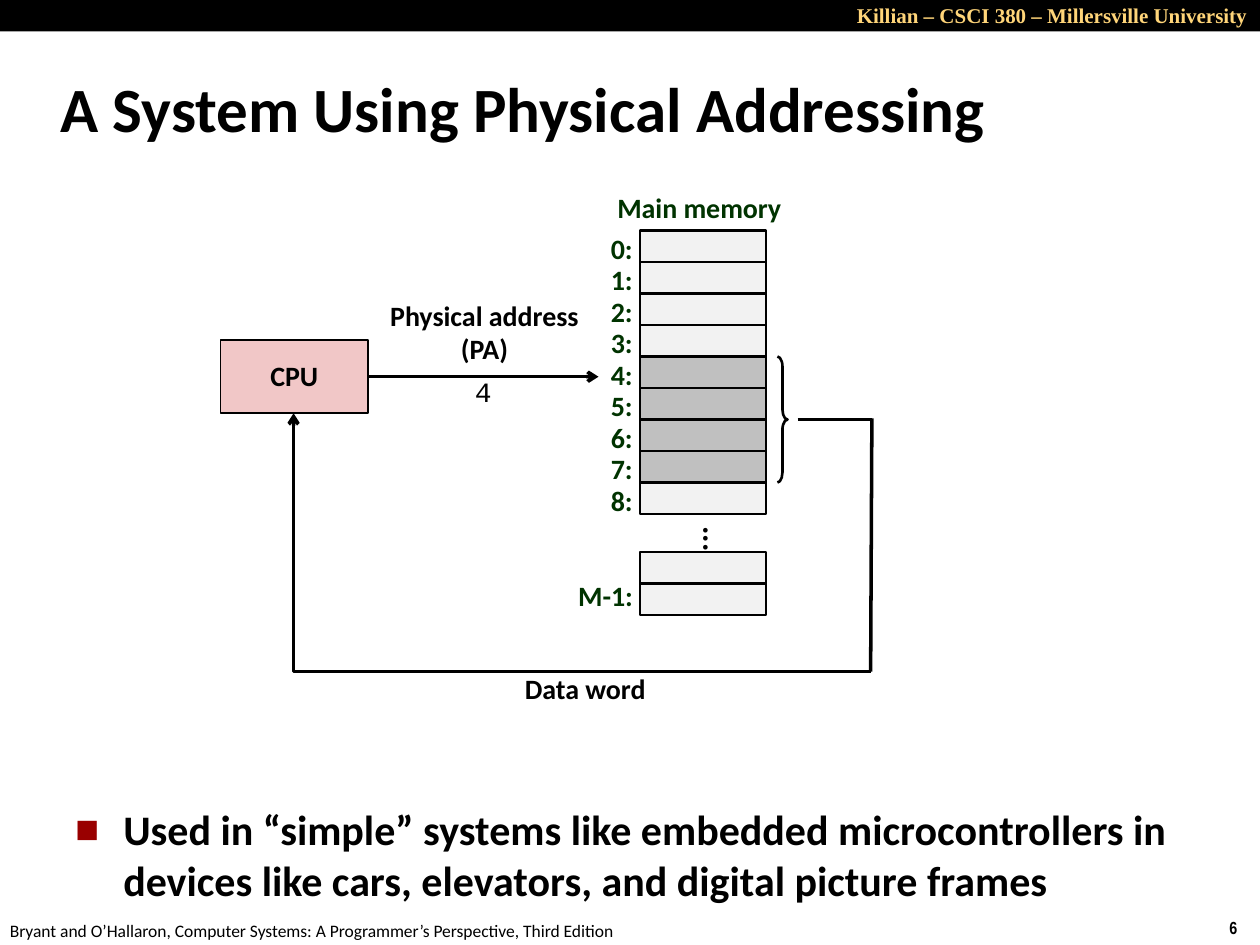
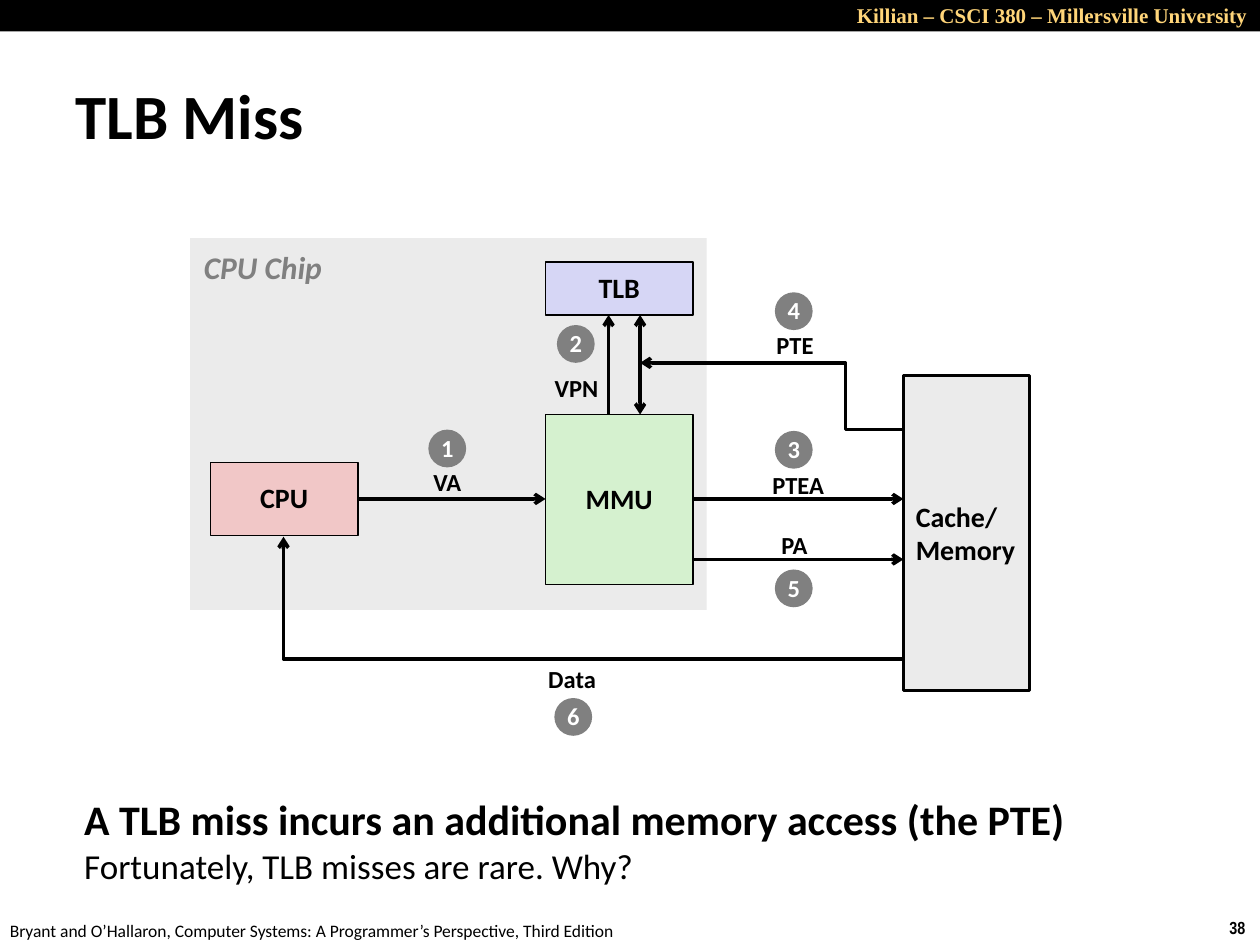
from dataclasses import dataclass

from lxml.etree import SubElement
from pptx import Presentation
from pptx.dml.color import RGBColor
from pptx.enum.shapes import MSO_CONNECTOR as Link, MSO_SHAPE as Kind
from pptx.enum.text import MSO_ANCHOR as Anchor, MSO_AUTO_SIZE as Fit, PP_ALIGN as Align
from pptx.oxml.ns import qn
from pptx.slide import Slide
from pptx.util import Inches, Pt

BLACK, WHITE, GOLD, GREEN = "000000", "FFFFFF", "FFD579", "003300"
GRAY, PALE, LIGHT, USED = "808080", "EBEBEB", "F2F2F2", "C0C0C0"
PINK, MINT, LILAC, RED = "F1C7C7", "D5F1CF", "D6D6F5", "990000"
ROW = 0.25


@dataclass(frozen=True)
class Look:
    size: float
    color: str = BLACK
    bold: bool = True
    italic: bool = False
    font: str = "Calibri"
    align: Align = Align.LEFT
    lead: float = 1.0
    before: float = 0


@dataclass(frozen=True)
class Box:
    x: float
    y: float
    w: float
    h: float
    text: str = ""
    look: Look = Look(16)
    fill: str = ""
    edge: float = 0
    kind: Kind | None = None
    anchor: Anchor = Anchor.MIDDLE
    wrap: bool = False


@dataclass(frozen=True)
class Wire:
    x1: float
    y1: float
    x2: float
    y2: float
    ends: tuple[str, ...] = ("tailEnd",)
    bend: str = ""
    turn: float | None = None


TITLE = Look(36)
NODE = Look(16, align=Align.CENTER, lead=0.98)
TAG = Look(14, align=Align.CENTER, lead=0.98)
DOT = Look(14, WHITE, align=Align.CENTER, lead=0.98)
INDEX = Look(16, GREEN, lead=0.88, before=6)
HEAD = Look(16, GREEN, align=Align.CENTER, lead=0.88, before=6)
POINT = Look(24, before=4.8)

FRAME = [
    Box(-0.02, 7.25, 5.08, 0.27,
        "Bryant and O’Hallaron, Computer Systems: A Programmer’s Perspective, Third Edition",
        Look(10, bold=False), anchor=Anchor.TOP),
    Box(0, 0, 10, 0.25, fill=BLACK, kind=Kind.RECTANGLE),
    Box(6.69, -0.03, 3.31, 0.3, "Killian – CSCI 380 – Millersville University",
        Look(12, GOLD, font="Times New Roman", align=Align.RIGHT),
        anchor=Anchor.TOP, wrap=True),
]


def tint(code: str) -> RGBColor:
    """Turn a hex string into a colour."""
    return RGBColor.from_string(code)


def style(frame, look: Look) -> None:
    """Format every paragraph and run of a text frame."""
    for para in frame.paragraphs:
        para.alignment = look.align
        para.line_spacing = look.lead
        para.space_before = Pt(look.before)
        for run in para.runs:
            font = run.font
            font.name, font.size = look.font, Pt(look.size)
            font.bold, font.italic = look.bold, look.italic
            font.color.rgb = tint(look.color)


def draw(slide: Slide, box: Box):
    """Draw a text box or a preset shape and return it."""
    area = [Inches(v) for v in (box.x, box.y, box.w, box.h)]
    if box.kind is None:
        shape = slide.shapes.add_textbox(*area)
    else:
        shape = slide.shapes.add_shape(box.kind, *area)
        shape.shadow.inherit = False
        if box.fill:
            shape.fill.solid()
            shape.fill.fore_color.rgb = tint(box.fill)
        else:
            shape.fill.background()
        if box.edge:
            shape.line.color.rgb = tint(BLACK)
            shape.line.width = Pt(box.edge)
        else:
            shape.line.fill.background()
    if box.text:
        frame = shape.text_frame
        frame.text = box.text
        frame.word_wrap = box.wrap
        frame.vertical_anchor = box.anchor
        grow = box.kind is None and not box.wrap
        frame.auto_size = Fit.SHAPE_TO_FIT_TEXT if grow else Fit.NONE
        style(frame, box.look)
    return shape


def join(slide: Slide, wire: Wire) -> None:
    """Draw a straight line, or an elbow that runs up and to the left."""
    start = Inches(wire.x1), Inches(wire.y1)
    stop = Inches(wire.x2), Inches(wire.y2)
    if wire.bend:
        line = slide.shapes.add_connector(Link.ELBOW, *stop, *start)
    else:
        line = slide.shapes.add_connector(Link.STRAIGHT, *start, *stop)
    line.line.color.rgb = tint(BLACK)
    line.line.width = Pt(2)
    props = line._element.spPr
    if wire.bend:
        props.find(qn("a:xfrm")).set("rot", "10800000")
        geom = props.find(qn("a:prstGeom"))
        geom.set("prst", wire.bend)
        if wire.turn is not None:
            guides = geom.find(qn("a:avLst"))
            if guides is None:
                guides = SubElement(geom, qn("a:avLst"))
            SubElement(guides, qn("a:gd"), name="adj1", fmla=f"val {round(wire.turn * 100000)}")
    for end in wire.ends:
        SubElement(props.find(qn("a:ln")), qn(f"a:{end}"), type="arrow")
    SubElement(props, qn("a:effectLst"))


def begin(deck, title: str, x: float, y: float, page: str) -> Slide:
    """Add a slide with its title, band and footers."""
    slide = deck.slides.add_slide(deck.slide_layouts[5])
    head = slide.shapes.title
    head.left, head.top = Inches(x), Inches(y)
    head.width, head.height = Inches(9.53), Inches(0.86)
    frame = head.text_frame
    frame.text = title
    frame.vertical_anchor = Anchor.MIDDLE
    frame.auto_size = Fit.NONE
    style(frame, TITLE)
    number = Box(9.66, 7.23, 0.34, 0.27, page, Look(10, font="Arial Narrow"),
                 anchor=Anchor.TOP)
    for box in [number, *FRAME]:
        draw(slide, box)
    return slide


def cpu(x: float, y: float) -> Box:
    """Describe the processor box."""
    return Box(x, y, 1.17, 0.58, "CPU", NODE, PINK, 1, Kind.RECTANGLE)


def bullet(shape) -> None:
    """Give the first paragraph a small red square."""
    props = shape.text_frame.paragraphs[0]._p.get_or_add_pPr()
    props.set("marL", str(Inches(0.38)))
    props.set("indent", str(-Inches(0.38)))
    SubElement(SubElement(props, qn("a:buClr")), qn("a:srgbClr"), val=RED)
    SubElement(props, qn("a:buSzPct"), val="60000")
    SubElement(props, qn("a:buFont"), typeface="Calibri")
    SubElement(props, qn("a:buChar"), char="■")


def memory(slide: Slide) -> None:
    """Draw the memory column with its addresses."""
    top, tail = 1.83, 4.38
    rows = [top + i * ROW for i in range(9)] + [tail, tail + ROW]
    for i, y in enumerate(rows):
        fill = USED if 4 <= i <= 7 else LIGHT
        draw(slide, Box(5.08, y, 1, ROW, fill=fill, edge=1.5, kind=Kind.RECTANGLE))
    for i, y in enumerate(rows[:9]):
        draw(slide, Box(4.75, y - 0.01, 0.37, 0.33, f"{i}:", INDEX, anchor=Anchor.TOP))
    draw(slide, Box(4.49, 4.58, 0.64, 0.33, "M-1:", INDEX, anchor=Anchor.TOP))
    draw(slide, Box(4.79, 1.5, 1.52, 0.33, "Main memory", HEAD, anchor=Anchor.TOP))
    dots = draw(slide, Box(5.17, 4.08, 1, ROW, "...",
                           Look(18, align=Align.CENTER, lead=0.98)))
    dots.text_frame.auto_size = Fit.NONE
    dots.text_frame._txBody.bodyPr.set("vert", "eaVert")
    dots.text_frame.paragraphs[0]._p.get_or_add_pPr().set("rtl", "1")
    brace = draw(slide, Box(6.17, 2.83, 0.08, 1, edge=1.5, kind=Kind.RIGHT_BRACE))
    brace.adjustments[0] = 1.0


def direct(deck) -> None:
    """Build the physical addressing slide."""
    slide = begin(deck, "A System Using Physical Addressing", 0.38, 0.42, "6")
    memory(slide)
    for box in (
        cpu(1.75, 2.7),
        Box(2.99, 2.33, 1.71, 0.63, "Physical address\n(PA)", NODE),
        Box(4.06, 5.29, 1.17, 0.37, "Data word", NODE),
        Box(3.67, 2.92, 0.34, 0.37, "4", Look(16, bold=False, font="Courier New"),
            anchor=Anchor.TOP),
    ):
        draw(slide, box)
    for wire in (
        Wire(2.92, 2.99, 4.75, 2.99),
        Wire(6.33, 3.33, 6.92, 3.33, ()),
        Wire(6.92, 3.32, 6.91, 5.33, ()),
        Wire(6.91, 5.33, 2.33, 3.28, bend="bentConnector2"),
    ):
        join(slide, wire)
    note = Box(0.5, 6.33, 9.09, 0.96,
               "Used in “simple” systems like embedded microcontrollers in "
               "devices like cars, elevators, and digital picture frames",
               POINT, anchor=Anchor.TOP, wrap=True)
    bullet(draw(slide, note))


def miss(deck) -> None:
    """Build the TLB miss slide."""
    slide = begin(deck, "TLB Miss", 0.5, 0.48, "38")
    for box in (
        Box(1.51, 1.89, 4.1, 2.95, fill=PALE, kind=Kind.RECTANGLE),
        Box(1.52, 1.92, 1.16, 0.4, "CPU Chip", Look(18, GRAY, italic=True),
            anchor=Anchor.TOP),
        Box(4.33, 3.29, 1.17, 1.35, "MMU", NODE, MINT, 1, Kind.RECTANGLE),
        Box(7.17, 2.98, 1, 2.5, "Cache/\nMemory", Look(16), PALE, 1.5, Kind.RECTANGLE),
        cpu(1.67, 3.67),
        Box(4.33, 2.08, 1.17, 0.42, "TLB", NODE, LILAC, 1, Kind.RECTANGLE),
    ):
        draw(slide, box)
    for wire in (
        Wire(5.5, 4.44, 7.17, 4.44),
        Wire(2.84, 3.96, 4.33, 3.96),
        Wire(7.17, 5.23, 2.25, 4.26, bend="bentConnector2"),
        Wire(4.83, 3.29, 4.83, 2.5),
        Wire(5.08, 2.5, 5.08, 3.29, ("headEnd", "tailEnd")),
        Wire(5.5, 3.96, 7.17, 3.96),
        Wire(7.17, 3.41, 5.08, 2.88, bend="bentConnector3", turn=0.22),
    ):
        join(slide, wire)
    for text, x, y, w in (
        ("VA", 3.34, 3.67, 0.42), ("VPN", 4.3, 2.92, 0.55), ("PTEA", 6.03, 3.69, 0.61),
        ("PTE", 6.06, 2.58, 0.5), ("PA", 6.1, 4.17, 0.41), ("Data", 4.25, 5.23, 0.58),
    ):
        draw(slide, Box(x, y, w, 0.33, text, TAG))
    steps = ((3.4, 3.41), (4.42, 2.58), (6.15, 3.42), (6.15, 2.32), (6.15, 4.52), (4.4, 5.54))
    for i, (x, y) in enumerate(steps, 1):
        draw(slide, Box(x, y, 0.3, 0.3, str(i), DOT, GRAY, kind=Kind.OVAL))
    note = draw(slide, Box(0.57, 6.25, 8.43, 1,
                           "A TLB miss incurs an additional memory access (the PTE)\v"
                           "Fortunately, TLB misses are rare. Why?",
                           POINT, anchor=Anchor.TOP, wrap=True))
    last = note.text_frame.paragraphs[0].runs[-1].font
    last.size, last.bold = Pt(20), False


def main() -> None:
    """Build and save the deck."""
    deck = Presentation()
    deck.slide_width, deck.slide_height = Inches(10), Inches(7.5)
    direct(deck)
    miss(deck)
    deck.save("out.pptx")


if __name__ == "__main__":
    main()
